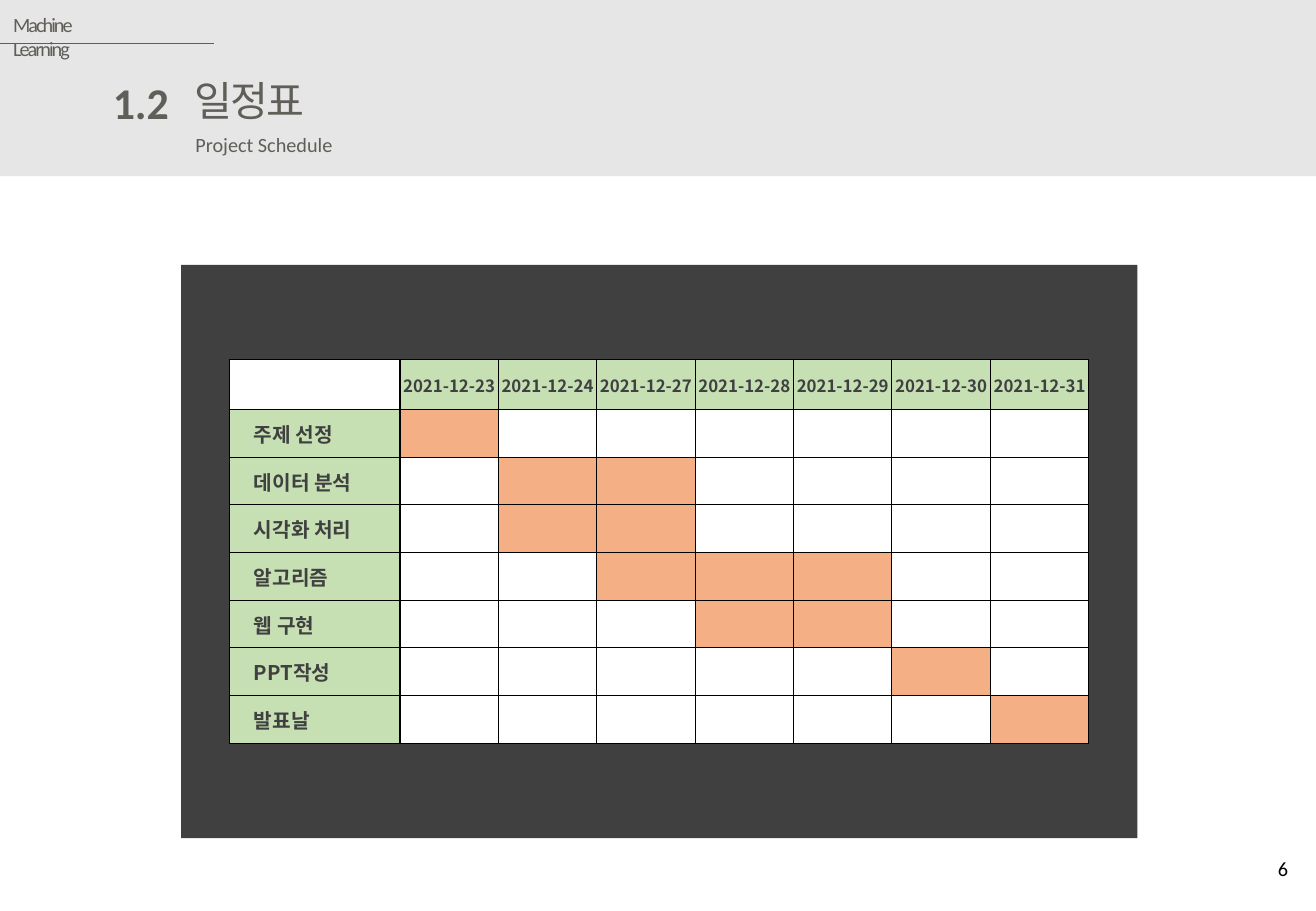
from lxml.etree import SubElement
from pptx import Presentation
from pptx.dml.color import RGBColor as RGB
from pptx.enum.shapes import MSO_CONNECTOR as CONN, MSO_SHAPE as SHAPE
from pptx.enum.text import MSO_ANCHOR as ANCHOR, MSO_AUTO_SIZE as AUTO, PP_ALIGN as ALIGN
from pptx.oxml import parse_xml
from pptx.oxml.ns import nsdecls, qn
from pptx.util import Inches, Pt

COLORS = {"band": "E7E6E6", "text": "5F5E58", "panel": "404040", "black": "000000",
          "label": "C6E0B4", "busy": "F4B084", "free": "FFFFFF"}
HEAD_FONT, TITLE_FONT, TABLE_FONT = "Calibri", "Arial", "Noto Sans CJK KR"

DATES = [f"2021-12-{day}" for day in (23, 24, 27, 28, 29, 30, 31)]
# Task with its first and last date column
TASKS = [("주제 선정", 1, 1), ("데이터 분석", 2, 3), ("시각화 처리", 2, 3), ("알고리즘", 3, 5),
         ("웹 구현", 4, 5), ("PPT작성", 6, 6), ("발표날", 7, 7)]


def rgb(name):
    return RGB.from_string(COLORS[name])


class Deck:
    """Style and current slide, with one method per kind of element."""

    def __init__(self, width, height):
        self.prs = Presentation()
        self.prs.slide_width, self.prs.slide_height = Inches(width), Inches(height)
        self.s = self.prs.slides.add_slide(self.prs.slide_layouts[5])

    def rect(self, x, y, w, h, color):
        sp = self.s.shapes.add_shape(SHAPE.RECTANGLE, *map(Inches, (x, y, w, h)))
        sp.shadow.inherit = False
        sp.fill.solid()
        sp.fill.fore_color.rgb = rgb(color)
        sp.line.fill.background()

    def line(self, x1, y1, x2, y2, color, width):
        ln = self.s.shapes.add_connector(CONN.STRAIGHT, *map(Inches, (x1, y1, x2, y2)))
        ln.line.color.rgb = rgb(color)
        ln.line.width = Pt(width)
        SubElement(ln._element.spPr, qn("a:effectLst"))

    def style_text(self, tf, text, size, font, color, bold=False, align=ALIGN.LEFT, spacing=0):
        tf.text = text
        p = tf.paragraphs[0]
        p.alignment = align
        r = p.runs[0]
        r.font.size, r.font.name, r.font.bold = Pt(size), font, bold
        r.font.color.rgb = rgb(color)
        rPr = r._r.get_or_add_rPr()
        SubElement(rPr, qn("a:ea")).set("typeface", font)
        if spacing:
            rPr.set("spc", str(round(spacing * 100)))

    def place(self, sp, x, y, w, h, text, size, wrap=False, anchor=ANCHOR.TOP,
              font=HEAD_FONT, color="text", **style):
        sp.left, sp.top, sp.width, sp.height = map(Inches, (x, y, w, h))
        tf = sp.text_frame
        self.style_text(tf, text, size, font, color, **style)
        tf.word_wrap, tf.vertical_anchor = wrap, anchor
        tf.auto_size = AUTO.NONE if wrap else AUTO.SHAPE_TO_FIT_TEXT
        return tf

    def text(self, x, y, w, h, text, size, **style):
        sp = self.s.shapes.add_textbox(0, 0, 0, 0)
        return self.place(sp, x, y, w, h, text, size, **style)

    def title(self, x, y, w, h, text, size, **style):
        sp = self.s.shapes.title
        sp.element.getparent().append(sp.element)  # in front of the band
        return self.place(sp, x, y, w, h, text, size, **style)

    def cell(self, cell, color, widths, text="", size=12, indent=0.01, align=ALIGN.LEFT):
        cell.margin_left = Inches(indent)
        cell.margin_right = cell.margin_top = Inches(0.01)
        cell.margin_bottom = 0
        cell.vertical_anchor = ANCHOR.MIDDLE
        if text:
            self.style_text(cell.text_frame, text, size, TABLE_FONT, "panel",
                            bold=True, align=align)
        cell.fill.solid()
        cell.fill.fore_color.rgb = rgb(color)
        tcPr = cell._tc.get_or_add_tcPr()
        for i, (side, width) in enumerate(zip("LRTB", widths)):
            tcPr.insert(i, parse_xml(
                f'<a:ln{side} {nsdecls("a")} w="{Pt(width)}"><a:solidFill>'
                f'<a:srgbClr val="{COLORS["black"]}"/></a:solidFill></a:ln{side}>'))

    def schedule(self, x, y, w, h, first_col, first_row):
        rows, cols = len(TASKS) + 1, len(DATES) + 1
        tbl = self.s.shapes.add_table(rows, cols, *map(Inches, (x, y, w, h))).table
        tbl.first_row = tbl.horz_banding = False
        for i, col in enumerate(tbl.columns):
            col.width = Inches(first_col if i == 0 else (w - first_col) / (cols - 1))
        for i, row in enumerate(tbl.rows):
            row.height = Inches(first_row if i == 0 else (h - first_row) / (rows - 1))
        for r in range(rows):
            for c in range(cols):
                # The rules beside the header row and label column are thicker
                widths = [1 if edge else 0.5 for edge in (c == 1, c == 0, r == 1, r == 0)]
                color, style = "free", {}
                if r == 0 and c:
                    color = "label"
                    style = dict(text=DATES[c - 1], size=10, align=ALIGN.CENTER)
                elif r:
                    task, start, end = TASKS[r - 1]
                    if c == 0:
                        color, style = "label", dict(text=task, indent=0.2)
                    elif start <= c <= end:
                        color = "busy"
                self.cell(tbl.cell(r, c), color, widths, **style)


def main():
    d = Deck(10.83, 7.5)

    # Header band
    d.rect(0, -0.01, 10.83, 1.46, "band")
    d.line(-0.01, 0.36, 1.76, 0.36, "text", 0.5)
    topic = d.text(0.01, 0.05, 1.15, 0.3, "Machine Learning", 12, wrap=True, spacing=-1.2)
    topic.margin_right = Inches(0.3)
    d.text(0.82, 0.57, 0.67, 0.54, "1.2", 26, bold=True, align=ALIGN.RIGHT)
    d.title(1.5, 0.57, 1.18, 0.51, "일정표", 24.4, font=TITLE_FONT, spacing=-1.2)
    d.text(1.51, 1.04, 1.34, 0.3, "Project Schedule", 12)

    # Schedule on its dark panel
    d.rect(1.49, 2.18, 7.87, 4.72, "panel")
    d.schedule(1.89, 2.96, 7.07, 3.16, first_col=1.4, first_row=0.41)

    # Page number
    d.text(8.26, 6.95, 2.44, 0.4, "6", 12, wrap=True, anchor=ANCHOR.MIDDLE,
           color="black", align=ALIGN.RIGHT)

    d.prs.save("out.pptx")


if __name__ == "__main__":
    main()
